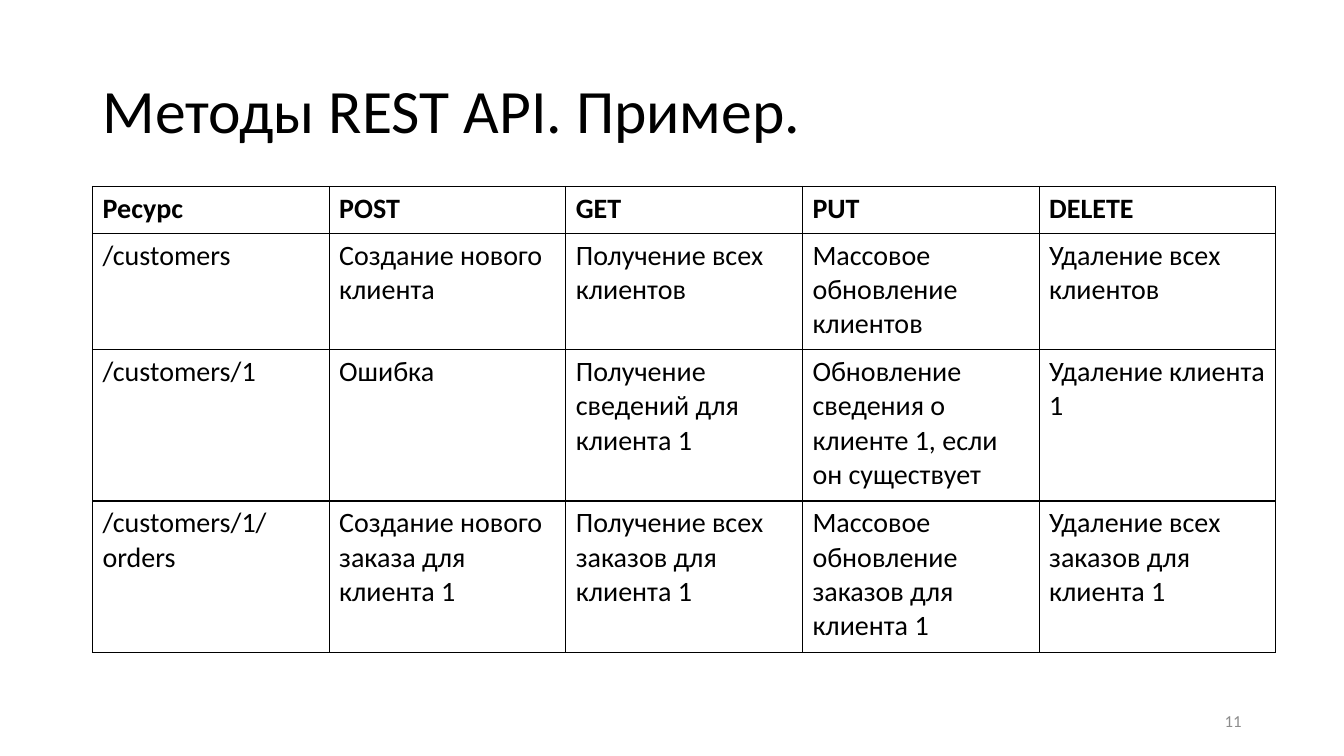
from dataclasses import dataclass
from typing import Any

from lxml import etree
from pptx import Presentation
from pptx.dml.color import RGBColor
from pptx.enum.text import MSO_ANCHOR, PP_ALIGN
from pptx.oxml.ns import qn
from pptx.util import Inches, Pt

LEFT, RIGHT = PP_ALIGN.LEFT, PP_ALIGN.RIGHT
TOP, MID = MSO_ANCHOR.TOP, MSO_ANCHOR.MIDDLE


@dataclass(frozen=True)
class Theme:
    font: str = "Calibri"
    ink: str = "000000"
    grey: str = "8C8C8C"
    head: int = 44
    cell: int = 20
    note: int = 12
    rule: int = 1


def write(frame, text, font, size, color, bold=False, align=LEFT,
          anchor=TOP, lead=1.0):
    """Put one formatted paragraph into a text frame."""
    frame.word_wrap = True
    frame.vertical_anchor = anchor
    par = frame.paragraphs[0]
    par.alignment, par.line_spacing = align, lead
    run = par.add_run()
    run.text = text
    run.font.name, run.font.size, run.font.bold = font, Pt(size), bold
    run.font.color.rgb = RGBColor.from_string(color)


@dataclass
class Page:
    """Style and current slide; lengths are percent of the slide's size."""
    theme: Theme
    slide: Any
    wide: int
    high: int

    def x(self, part):
        return round(self.wide * part / 100)

    def y(self, part):
        return round(self.high * part / 100)

    def box(self, left, top, width, height):
        return self.x(left), self.y(top), self.x(width), self.y(height)

    def title(self, text, *area):
        shape = self.slide.shapes.title
        shape.left, shape.top, shape.width, shape.height = self.box(*area)
        write(shape.text_frame, text, self.theme.font, self.theme.head,
              self.theme.ink, anchor=MID, lead=0.9)

    def number(self, text, *area):
        shape = self.slide.shapes.add_textbox(*self.box(*area))
        write(shape.text_frame, text, self.theme.font, self.theme.note,
              self.theme.grey, align=RIGHT, anchor=MID)

    def border(self, cell):
        props = cell._tc.get_or_add_tcPr()
        for spot, side in enumerate(("lnL", "lnR", "lnT", "lnB")):
            line = etree.Element(qn(f"a:{side}"), w=str(Pt(self.theme.rule)))
            fill = etree.SubElement(line, qn("a:solidFill"))
            etree.SubElement(fill, qn("a:srgbClr"), val=self.theme.ink)
            props.insert(spot, line)

    def table(self, rows, lines, left, top, width, step, pad):
        """Row height is its count of text lines times step, plus pad."""
        tall = [count * step + pad for count in lines]
        cols = len(rows[0])
        grid = self.slide.shapes.add_table(
            len(rows), cols, *self.box(left, top, width, sum(tall))).table
        grid.first_row = grid.horz_banding = False
        for col in grid.columns:
            col.width = self.x(width / cols)
        for r, (row, height) in enumerate(zip(rows, tall)):
            grid.rows[r].height = self.y(height)
            for c, text in enumerate(row):
                cell = grid.cell(r, c)
                cell.fill.background()
                self.border(cell)
                write(cell.text_frame, text, self.theme.font,
                      self.theme.cell, self.theme.ink, bold=r == 0)


# Table content
ROWS = [
    ("Ресурс", "POST", "GET", "PUT", "DELETE"),
    ("/customers", "Создание нового клиента", "Получение всех клиентов",
     "Массовое обновление клиентов", "Удаление всех клиентов"),
    ("/customers/1", "Ошибка", "Получение сведений для клиента 1",
     "Обновление сведения о клиенте 1, если он существует",
     "Удаление клиента 1"),
    ("/customers/1/orders", "Создание нового заказа для клиента 1",
     "Получение всех заказов для клиента 1",
     "Массовое обновление заказов для клиента 1",
     "Удаление всех заказов для клиента 1"),
]
LINES = (1, 3, 4, 4)
EDGE = 6.88

# Slide
deck = Presentation()
deck.slide_width, deck.slide_height = Inches(13.33), Inches(7.5)
slide = deck.slides.add_slide(deck.slide_layouts[5])
page = Page(Theme(), slide, deck.slide_width, deck.slide_height)

# Parts from top to bottom
page.title("Методы REST API. Пример.", EDGE, 5.33, 86.25, 19.33)
page.table(ROWS, LINES, EDGE, 24.67, 88.05, step=4.6, pad=1.6)
page.number("11", 70.63, 92.67, 22.5, 5.33)

deck.save("out.pptx")
